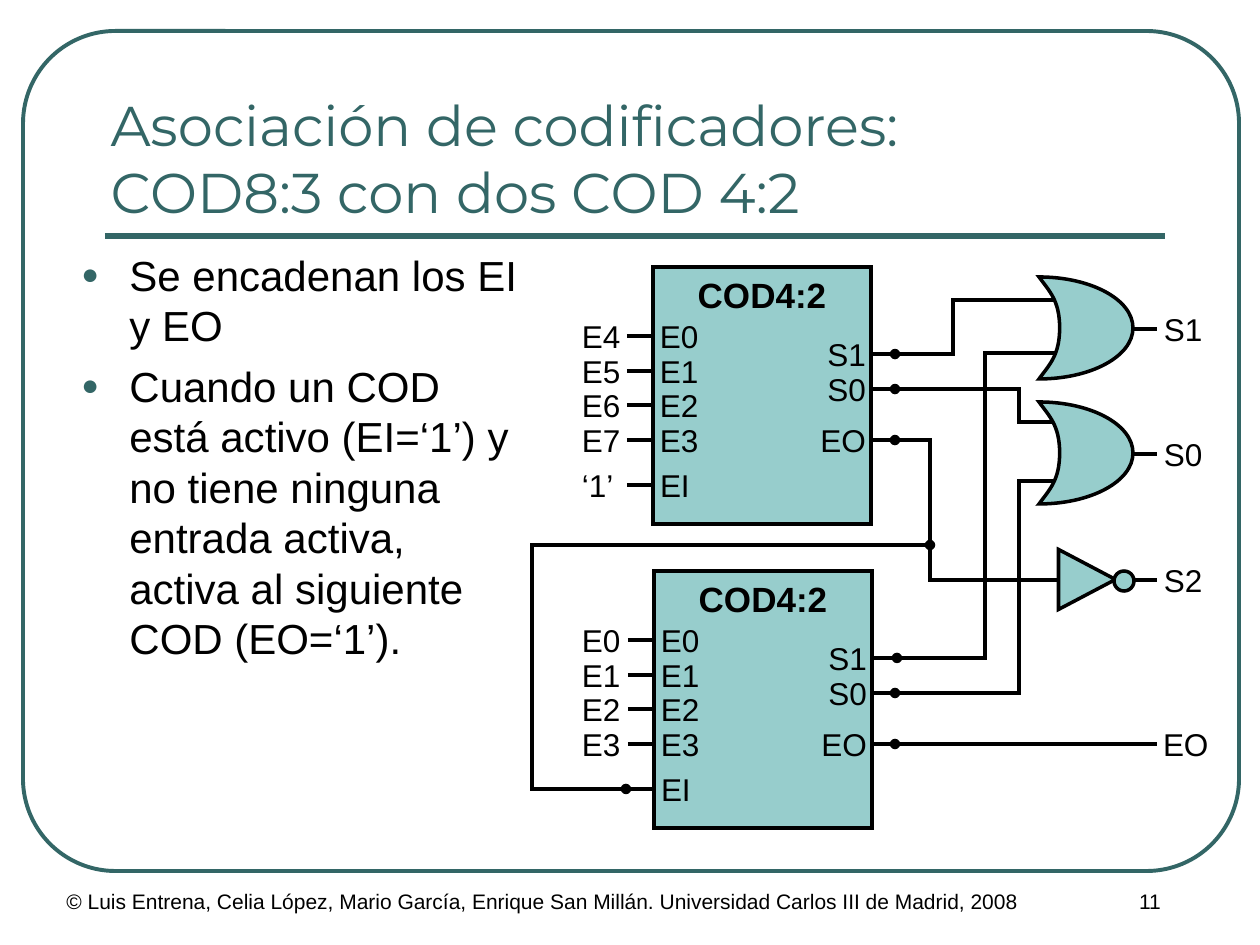
import pptx
import pptx.dml.color
import pptx.enum.shapes
import pptx.enum.text
import pptx.util
from lxml import etree
from pptx.oxml.ns import qn

COLORS = {"teal": "336666", "aqua": "97CDCC", "ink": "000000"}
SHAPES = pptx.enum.shapes.MSO_SHAPE
ALIGN = pptx.enum.text.PP_ALIGN
ANCHOR = pptx.enum.text.MSO_ANCHOR
PX = 914400 / 126

TITLE = ["Asociación de codificadores:", "COD8:3 con dos COD 4:2"]
BULLETS = [
    "Se encadenan los EI y EO",
    "Cuando un COD está activo (EI=‘1’) y no tiene ninguna entrada activa, "
    "activa al siguiente COD (EO=‘1’).",
]
CREDIT = ("© Luis Entrena, Celia López, Mario García, Enrique San Millán. "
          "Universidad Carlos III de Madrid, 2008")
PAGE = "11"

# Pin name and its distance below the top of an encoder
INPUT_PINS = [("E0", 69), ("E1", 104), ("E2", 138), ("E3", 173), ("EI", 218)]
OUTPUT_PINS = [("S1", 87), ("S0", 122), ("EO", 173)]
ENCODERS = [  # left, top, signals on the input pins
    (653, 267, ["E4", "E5", "E6", "E7", "‘1’"]),
    (654, 571, ["E0", "E1", "E2", "E3"]),
]
ENCODER_W, ENCODER_H, STUB = 218, 257, 26

OR_LEFT, OR_TOPS, OR_W, OR_H = 1039, [277, 402], 94, 102
# Start point, then three Bezier points a curve, in fractions of the gate's size
OR_OUTLINE = [
    (0, 0),
    (0.11, 0.14), (0.22, 0.23), (0.22, 0.5),
    (0.22, 0.77), (0.11, 0.86), (0, 1),
    (0.55, 1), (1, 0.78), (1, 0.5),
    (1, 0.22), (0.55, 0), (0, 0),
]
GATE_OUTPUTS = [("S1", 329), ("S0", 454), ("S2", 580)]
EO_Y = 744

WIRES = [  # corners, dotted ends
    ([(895, 440), (930, 440), (930, 545), (532, 545), (532, 789), (626, 789)],
     ["headEnd", "tailEnd"]),
    ([(895, 354), (953, 354), (953, 300), (1053, 300)], ["headEnd"]),
    ([(897, 658), (985, 658), (985, 353), (1056, 353)], ["headEnd"]),
    ([(895, 389), (1019, 389), (1019, 422), (1053, 422)], ["headEnd"]),
    ([(895, 693), (1019, 693), (1019, 481), (1053, 481)], ["headEnd"]),
    ([(1059, 580), (930, 580), (930, 545)], ["tailEnd"]),
]

prs = pptx.Presentation()
prs.slide_width, prs.slide_height = pptx.util.Inches(10), pptx.util.Inches(7.5)
slide = prs.slides.add_slide(prs.slide_layouts[5])


def px(*lengths):
    return [round(length * PX) for length in lengths]


def rgb(name):
    return pptx.dml.color.RGBColor.from_string(COLORS[name])


def outline(part, color="ink", width=2, dots=()):
    """Set a sharp-cornered line, with an oval at each end named in dots."""
    part.line.color.rgb = rgb(color)
    part.line.width = pptx.util.Pt(width)
    line = part.line._get_or_add_ln()
    etree.SubElement(line, qn("a:miter"), lim="800000")
    for end in dots:
        etree.SubElement(line, qn("a:" + end), type="oval")


def style(part, fill="aqua", **line):
    part.shadow.inherit = False
    if fill:
        part.fill.solid()
        part.fill.fore_color.rgb = rgb(fill)
    else:
        part.fill.background()
    outline(part, **line)


def add_run(paragraph, words, size, font="Arial", color="ink", bold=False):
    run = paragraph.add_run()
    run.text = words
    run.font.size = pptx.util.Pt(size)
    run.font.name = font
    run.font.bold = bold
    run.font.color.rgb = rgb(color)


def preset(kind, box, **look):
    part = slide.shapes.add_shape(kind, *px(*box))
    style(part, **look)
    return part


def straight(x1, y1, x2, y2, **line):
    part = slide.shapes.add_connector(
        pptx.enum.shapes.MSO_CONNECTOR.STRAIGHT, *px(x1, y1, x2, y2))
    outline(part, **line)
    etree.SubElement(part._element.spPr, qn("a:effectLst"))


def freeform(points, closed=False, **look):
    builder = slide.shapes.build_freeform(*px(*points[0]))
    builder.add_line_segments([px(*point) for point in points[1:]], close=closed)
    part = builder.convert_to_shape()
    style(part, **look)
    return part


def bend(part):
    """Turn each three line segments of a freeform into one Bezier curve."""
    segments = list(part._element.iter(qn("a:lnTo")))
    for first in range(0, len(segments), 3):
        curve = etree.Element(qn("a:cubicBezTo"))
        segments[first].addprevious(curve)
        for segment in segments[first:first + 3]:
            curve.append(segment[0])
            segment.getparent().remove(segment)


def text_box(box, words, size, align=ALIGN.LEFT):
    frame = slide.shapes.add_textbox(*px(*box)).text_frame
    frame.word_wrap = True
    frame.paragraphs[0].alignment = align
    add_run(frame.paragraphs[0], words, size)
    return frame


def signal(name, x, y, align=ALIGN.LEFT):
    """Put a signal name beside x, centred on y."""
    width = {"EO": 46, "EI": 30, "‘1’": 32}.get(name, 39)
    left = x - width if align == ALIGN.RIGHT else x
    frame = text_box((left, y - 19, width, 38), name, 18, align)
    frame.word_wrap = False
    frame.vertical_anchor = ANCHOR.MIDDLE
    frame.margin_left = frame.margin_right = 0
    frame.margin_top = frame.margin_bottom = 0


def encoder(left, top, signals):
    block = preset(SHAPES.RECTANGLE, (left, top, ENCODER_W, ENCODER_H))
    frame = block.text_frame
    frame.word_wrap = False
    frame.vertical_anchor = ANCHOR.TOP
    frame.paragraphs[0].alignment = ALIGN.CENTER
    add_run(frame.paragraphs[0], "COD4:2", 20, bold=True)
    for pin, drop in INPUT_PINS:
        straight(left - STUB, top + drop, left, top + drop)
        signal(pin, left + 7, top + drop)
    right = left + ENCODER_W
    for pin, drop in OUTPUT_PINS:
        straight(right, top + drop, right + STUB, top + drop)
        signal(pin, right - 5, top + drop, ALIGN.RIGHT)
    for name, (_, drop) in zip(signals, INPUT_PINS):
        signal(name, 582, top + drop)


# Frame, rule and footer
border = preset(SHAPES.ROUNDED_RECTANGLE, (23, 31, 1216, 840),
                fill=None, color="teal", width=2.25)
border.adjustments[0] = 0.11
straight(105, 236, 1165, 236, color="teal", width=3)
text_box((54, 882, 1071, 63), CREDIT, 12)
text_box((1040, 882, 220, 63), PAGE, 12, ALIGN.CENTER)

# Title and bullets
title = slide.shapes.title
title.left, title.top, title.width, title.height = px(98, 73, 1061, 158)
title.text_frame.auto_size = pptx.enum.text.MSO_AUTO_SIZE.NONE
title.text_frame.vertical_anchor = ANCHOR.BOTTOM
heading = title.text_frame.paragraphs[0]
heading.alignment = ALIGN.LEFT
for number, line in enumerate(TITLE):
    if number:
        heading.add_line_break()
    add_run(heading, line, 32, "Montserrat", "teal")

bullets = slide.shapes.add_textbox(*px(69, 243, 462, 620)).text_frame
bullets.word_wrap = True
for number, words in enumerate(BULLETS):
    item = bullets.add_paragraph() if number else bullets.paragraphs[0]
    props = item._p.get_or_add_pPr()
    props.set("marL", str(px(48)[0]))
    props.set("indent", str(px(-48)[0]))
    bullet_color = etree.SubElement(props, qn("a:buClr"))
    etree.SubElement(bullet_color, qn("a:srgbClr"), val=COLORS["teal"])
    etree.SubElement(props, qn("a:buSzPct"), val="70000")
    etree.SubElement(props, qn("a:buFont"), typeface="Arial")
    etree.SubElement(props, qn("a:buChar"), char="●")
    item.space_before = pptx.util.Pt(6 if number else 0)
    add_run(item, words, 24)

# Circuit
for left, top, signals in ENCODERS:
    encoder(left, top, signals)
for top in OR_TOPS:
    bend(freeform([(OR_LEFT + x * OR_W, top + y * OR_H) for x, y in OR_OUTLINE],
                  closed=True))
preset(SHAPES.ISOSCELES_TRIANGLE, (1057, 551, 60, 57)).rotation = 90
preset(SHAPES.OVAL, (1114, 571, 20, 20))
for name, y in GATE_OUTPUTS:
    straight(1132, y, 1157, y)
    signal(name, 1164, y)
for corners, dots in WIRES:
    freeform(corners, fill=None, dots=dots)
straight(1157, EO_Y, 895, EO_Y, dots=["tailEnd"])
signal("EO", 1163, EO_Y)

prs.save("out.pptx")
